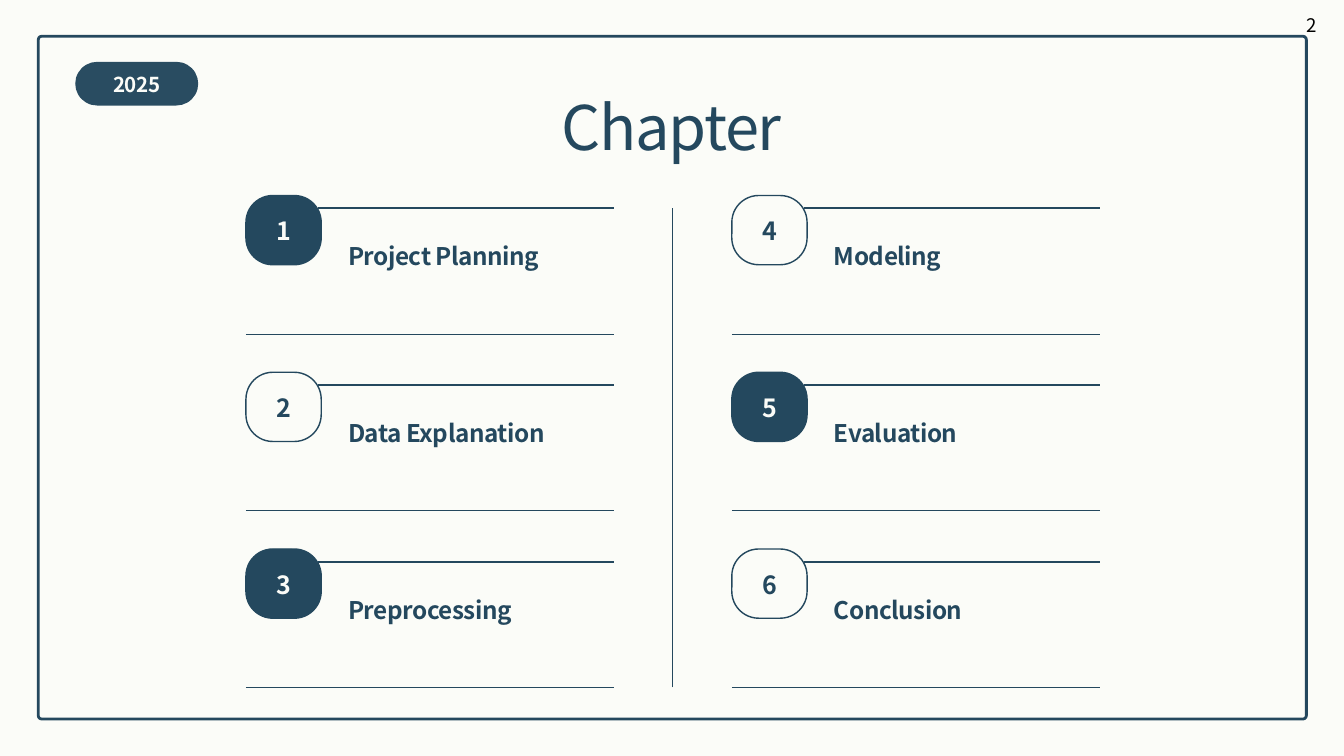
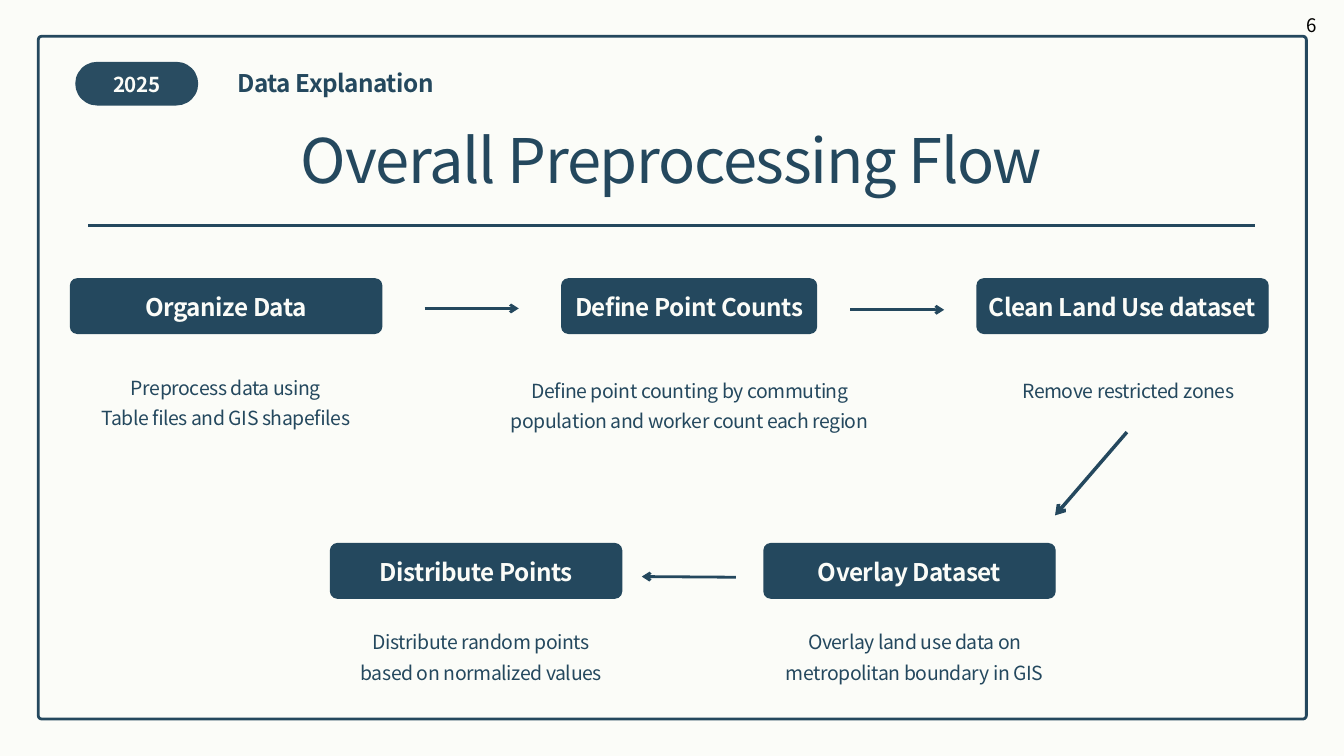
"""Builds a chapter list and a preprocessing flow slide."""
from lxml.etree import SubElement
from pptx import Presentation
from pptx.dml.color import RGBColor
from pptx.enum.shapes import MSO_CONNECTOR, MSO_SHAPE
from pptx.enum.text import MSO_ANCHOR, PP_ALIGN
from pptx.oxml.ns import qn
from pptx.util import Inches, Pt

NAVY = RGBColor(0x24, 0x48, 0x5E)
SLATE = RGBColor(0x29, 0x4C, 0x61)
CREAM = RGBColor(0xFB, 0xFC, 0xF8)
BLACK = RGBColor(0, 0, 0)
FONT = "Noto Sans CJK KR"

YEAR = "2025"
CHAPTERS = [
    ["Project Planning", "Data Explanation", "Preprocessing"],
    ["Modeling", "Evaluation", "Conclusion"],
]
SECTION = "Data Explanation"
STEPS = [
    (1.05, 4.15, 4.63, "Organize Data", 3.36, 5.49,
     ["Preprocess data using", "Table files and GIS shapefiles"]),
    (8.36, 4.15, 3.79, "Define Point Counts", 10.26, 5.54,
     ["Define point counting by commuting population and worker count each region"]),
    (14.54, 4.15, 4.33, "Clean Land Use dataset", 16.79, 5.54,
     ["Remove restricted zones"]),
    (11.37, 8.09, 4.33, "Overlay Dataset", 13.61, 9.28,
     ["Overlay land use data on", "metropolitan boundary in GIS"]),
    (4.92, 8.09, 4.33, "Distribute Points", 7.16, 9.28,
     ["Distribute random points", "based on normalized values"]),
]
ARROWS = [
    (6.32, 4.59, 7.72, 4.59, 3),
    (12.65, 4.61, 14.05, 4.61, 3),
    (16.77, 6.43, 15.7, 7.67, 3.75),
    (10.95, 8.59, 9.55, 8.58, 3),
]


def write(shape, lines, size, color=NAVY, bold=False, align=PP_ALIGN.CENTER,
          anchor=MSO_ANCHOR.TOP, lead=1.4, track=-2, lift=0, wrap=True):
    frame = shape.text_frame
    frame.word_wrap = wrap
    frame.vertical_anchor = anchor
    frame.margin_left = frame.margin_right = frame.margin_top = 0
    frame.margin_bottom = Inches(lift)
    for i, line in enumerate(lines):
        para = frame.add_paragraph() if i else frame.paragraphs[0]
        para.alignment = align
        para.line_spacing = Pt(round(size * lead, 1))
        run = para.add_run()
        run.text = line
        font = run.font
        font.name, font.size, font.bold = FONT, Pt(size), bold
        font.color.rgb = color
        run._r.get_or_add_rPr().set("spc", str(round(size * track)))


def label(slide, x, y, w, h, *lines, **style):
    box = slide.shapes.add_textbox(Inches(x), Inches(y), Inches(w), Inches(h))
    write(box, lines, **style)


def panel(slide, x, y, w, h, radius, fill=None, edge=None, width=1.5):
    shape = slide.shapes.add_shape(MSO_SHAPE.ROUNDED_RECTANGLE, Inches(x),
                                   Inches(y), Inches(w), Inches(h))
    shape.adjustments[0] = radius / min(w, h)
    shape.shadow.inherit = False
    if fill is None:
        shape.fill.background()
    else:
        shape.fill.solid()
        shape.fill.fore_color.rgb = fill
    if edge is None:
        shape.line.fill.background()
    else:
        shape.line.color.rgb = edge
        shape.line.width = Pt(width)
    return shape


def badge(slide, x, y, w, h, radius, text, size, ink=CREAM, **look):
    shape = panel(slide, x, y, w, h, radius, **look)
    write(shape, [text], size=size, color=ink, bold=True,
          anchor=MSO_ANCHOR.MIDDLE, lift=0.05)


def rule(slide, x1, y1, x2, y2, width, arrow=False):
    line = slide.shapes.add_connector(MSO_CONNECTOR.STRAIGHT, Inches(x1),
                                      Inches(y1), Inches(x2), Inches(y2))
    line.line.color.rgb = NAVY
    line.line.width = Pt(width)
    if arrow:
        SubElement(line.line._get_or_add_ln(), qn("a:tailEnd"), type="arrow")
    SubElement(line._element.spPr, qn("a:effectLst"))


def start(deck, title, top, page):
    slide = deck.slides.add_slide(deck.slide_layouts[6])
    slide.background.fill.solid()
    slide.background.fill.fore_color.rgb = CREAM
    panel(slide, 0.57, 0.54, 18.87, 10.16, 0.05, edge=NAVY, width=3)
    badge(slide, 1.12, 0.92, 1.83, 0.65, 0.33, YEAR, 22, fill=SLATE)
    label(slide, 0.58, top, 18.83, 1.25, title, size=65.8)
    label(slide, 19.44, 0.15, 0.17, 0.23, page, size=20, color=BLACK,
          track=0, wrap=False)
    return slide


def list_chapters(deck):
    slide = start(deck, "Chapter", 1.14, "2")
    number = 0
    for col, names in enumerate(CHAPTERS):
        x = 3.66 + col * 7.23
        for row, name in enumerate(names):
            y = 3.1 + row * 2.63
            number += 1
            fill, ink = (NAVY, CREAM) if number % 2 else (CREAM, NAVY)
            rule(slide, x + 1.07, y, x + 5.48, y, 2.25)
            badge(slide, x, y - 0.19, 1.12, 1.03, 0.4, str(number), 26.8,
                  ink, fill=fill, edge=NAVY)
            label(slide, x + 1.52, y + 0.42, 3.77, 0.49, name, size=26,
                  bold=True, align=PP_ALIGN.LEFT)
            rule(slide, x, y + 1.87, x + 5.48, y + 1.87, 0.75)
    rule(slide, 10.01, 10.23, 10.01, 3.1, 1.5)


def draw_flow(deck):
    slide = start(deck, "Overall Preprocessing Flow", 1.64, "6")
    label(slide, 3.11, 0.94, 3.77, 0.49, SECTION, size=26, bold=True)
    rule(slide, 1.31, 3.36, 18.68, 3.36, 3)
    for x, y, w, name, mid, top, note in STEPS:
        badge(slide, x, y, w, 0.81, 0.1, name, 26, fill=NAVY, edge=NAVY)
        label(slide, mid - 2.89, top, 5.78, 0.88, *note, size=20.8, lead=1.56)
    for arrow in ARROWS:
        rule(slide, *arrow, arrow=True)


def main():
    deck = Presentation()
    deck.slide_width, deck.slide_height = Inches(20), Inches(11.25)
    list_chapters(deck)
    draw_flow(deck)
    deck.save("out.pptx")


if __name__ == "__main__":
    main()
